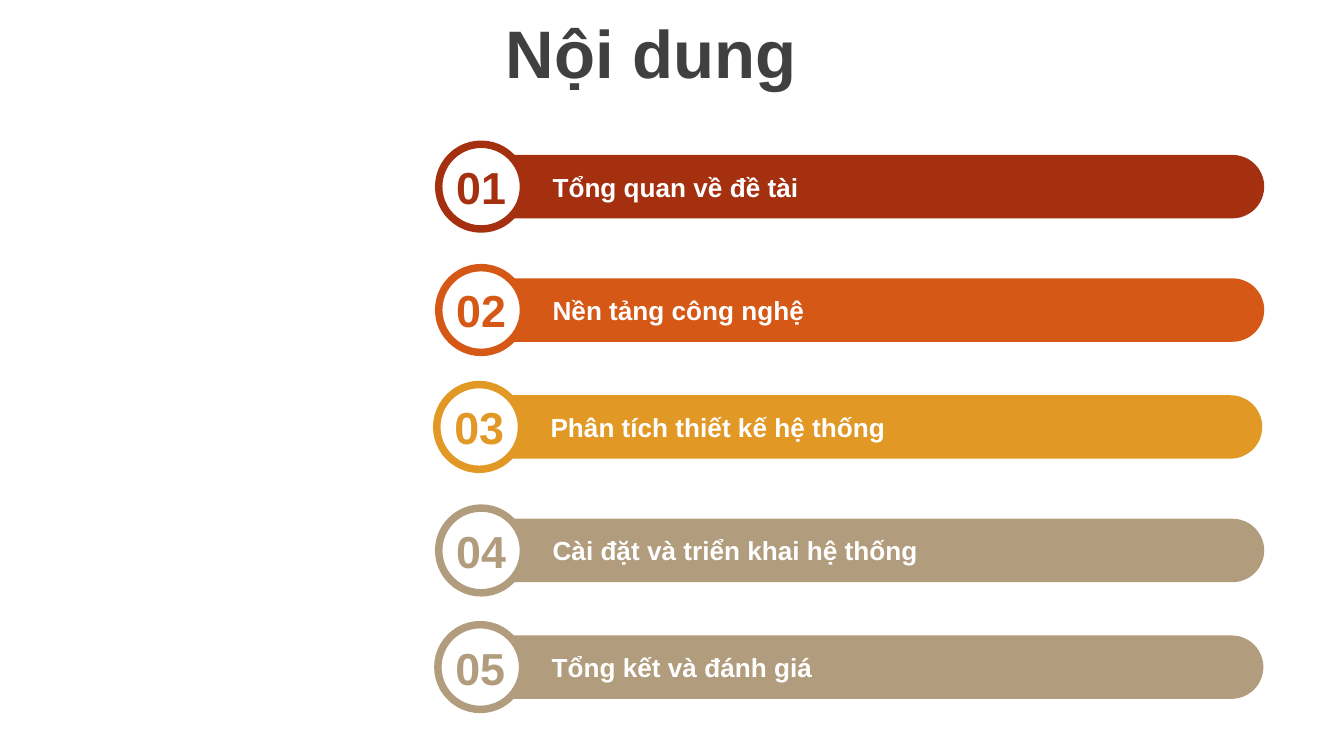
from pptx import Presentation
from pptx.dml.color import RGBColor
from pptx.enum.shapes import MSO_SHAPE
from pptx.enum.text import MSO_ANCHOR, PP_ALIGN
from pptx.util import Pt

BAR = MSO_SHAPE.ROUND_2_SAME_RECTANGLE
OVAL = MSO_SHAPE.OVAL
MIDDLE = MSO_ANCHOR.MIDDLE
LEFT, CENTER = PP_ALIGN.LEFT, PP_ALIGN.CENTER

TITLE = "Nội dung"
ITEMS = [
    ("Tổng quan về đề tài", "A5300F", 257.75, 100),
    ("Nền tảng công nghệ", "D55816", 257.75, 166.1),
    ("Phân tích thiết kế hệ thống", "E19825", 256.7, 228.75),
    ("Cài đặt và triển khai hệ thống", "B19C7D", 257.75, 294.9),
    ("Tổng kết và đánh giá", "B19C7D", 257.3, 357.4),
]

THEME = {
    "font": "Arial",
    "dark": "404040",
    "white": "FFFFFF",
    "title": 36,
    "number": 24,
    "label": 14,
    "ring": 4,
}

BAR_LONG, BAR_HIGH, BAR_SHIFT = 419, 34, 210
RING = 45.4
NUM_WIDE, NUM_HIGH = 44.6, 29
LABEL_SHIFT, LABEL_WIDE, LABEL_HIGH = 31.2, 374.4, 24.5


def add_text(shapes, text, box, size, color, align, pad=3.6):
    shape = shapes.add_textbox(*map(Pt, box))
    frame = shape.text_frame
    frame.text = text
    frame.word_wrap = True
    frame.vertical_anchor = MIDDLE
    frame.margin_top = frame.margin_bottom = Pt(pad)
    line = frame.paragraphs[0]
    line.alignment = align
    font = line.runs[0].font
    font.name = THEME["font"]
    font.size = Pt(size)
    font.bold = True
    font.color.rgb = RGBColor.from_string(color)


def add_form(shapes, kind, x, y, wide, high, fill):
    shape = shapes.add_shape(
        kind, Pt(x - wide / 2), Pt(y - high / 2), Pt(wide), Pt(high))
    shape.shadow.inherit = False
    shape.fill.solid()
    shape.fill.fore_color.rgb = RGBColor.from_string(fill)
    shape.line.fill.background()
    return shape


def add_item(slide, number, label, color, x, y):
    shapes = slide.shapes.add_group_shape().shapes
    bar = add_form(shapes, BAR, x + BAR_SHIFT, y, BAR_HIGH, BAR_LONG, color)
    bar.rotation = 90
    bar.adjustments[0] = 0.5
    bar.adjustments[1] = 0
    ring = add_form(shapes, OVAL, x, y, RING, RING, THEME["white"])
    ring.line.color.rgb = RGBColor.from_string(color)
    ring.line.width = Pt(THEME["ring"])
    add_text(shapes, f"{number:02d}",
             (x - NUM_WIDE / 2, y - NUM_HIGH / 2, NUM_WIDE, NUM_HIGH),
             THEME["number"], color, CENTER, 0)
    add_text(shapes, label,
             (x + LABEL_SHIFT, y - LABEL_HIGH / 2, LABEL_WIDE, LABEL_HIGH),
             THEME["label"], THEME["white"], LEFT)


def main():
    deck = Presentation()
    deck.slide_width, deck.slide_height = Pt(720), Pt(405)
    slide = deck.slides.add_slide(deck.slide_layouts[6])
    add_text(slide.shapes, TITLE, (0, 5, 697.7, 45.4),
             THEME["title"], THEME["dark"], CENTER)
    for number, item in enumerate(ITEMS, 1):
        add_item(slide, number, *item)
    deck.save("out.pptx")


if __name__ == "__main__":
    main()
